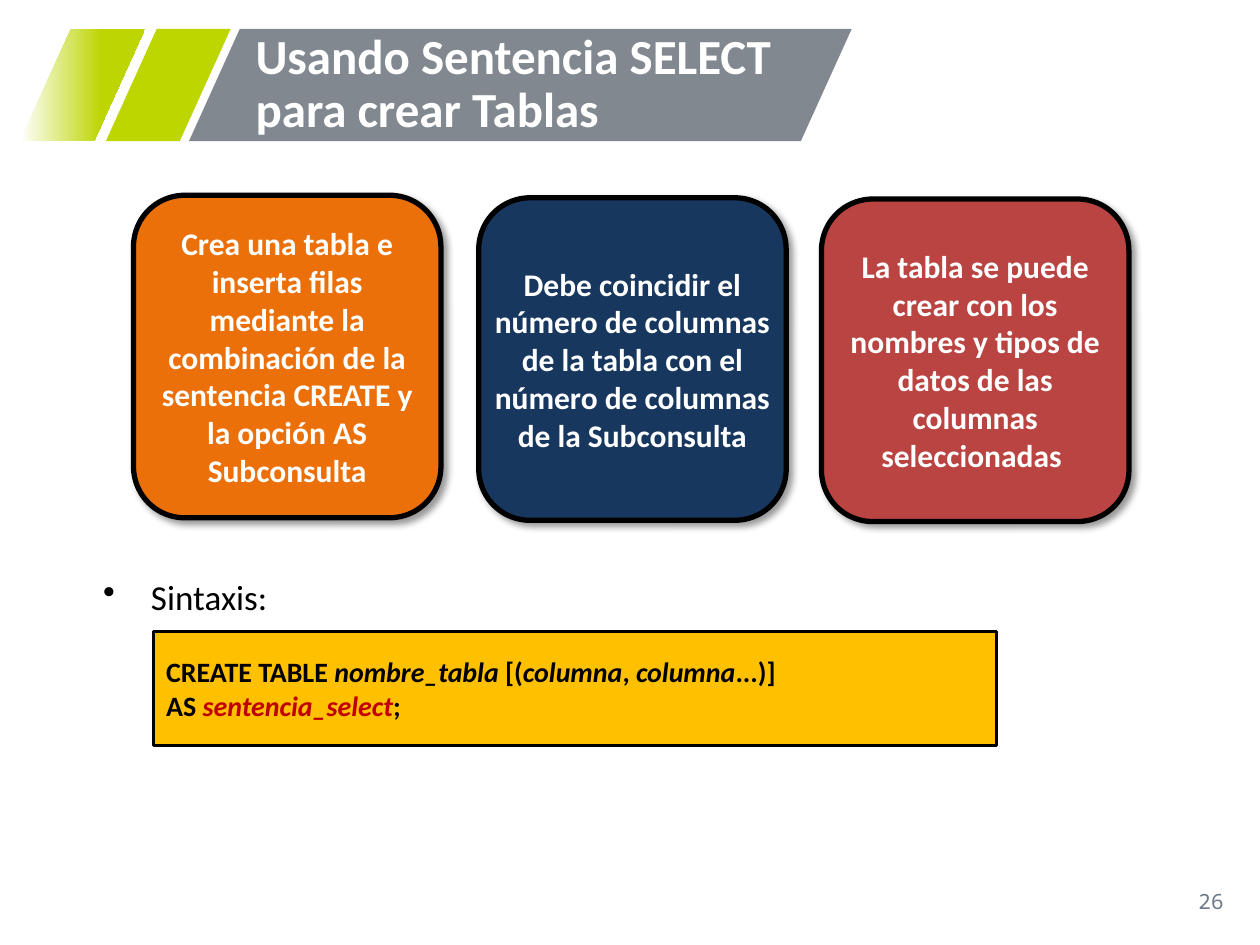
from lxml import etree
from pptx import Presentation
from pptx.dml.color import RGBColor
from pptx.enum.shapes import MSO_SHAPE
from pptx.enum.text import MSO_ANCHOR, PP_ALIGN
from pptx.oxml import parse_xml
from pptx.oxml.ns import nsdecls, qn
from pptx.util import Inches, Pt

PARALLELOGRAM = MSO_SHAPE.PARALLELOGRAM
ROUNDED = MSO_SHAPE.ROUNDED_RECTANGLE
RECTANGLE = MSO_SHAPE.RECTANGLE
MIDDLE = MSO_ANCHOR.MIDDLE
LEFT, CENTER, RIGHT = PP_ALIGN.LEFT, PP_ALIGN.CENTER, PP_ALIGN.RIGHT

BLACK, WHITE, RED = "000000", "FFFFFF", "C00000"
LIME, GRAY, AMBER = "BED600", "81888F", "FFC000"
BAND_TOP, BAND_HEIGHT = 0.23, 0.89
CARD_WIDTH, CARD_HEIGHT = 2.44, 2.56


def color(value):
    return RGBColor.from_string(value)


class SlideBuilder:
    def __init__(self, slide, font="Calibri"):
        self.slide = slide
        self.font = font

    def shape(self, kind, left, top, width, height, fill, line=None, line_width=1):
        shape = self.slide.shapes.add_shape(
            kind, Inches(left), Inches(top), Inches(width), Inches(height))
        shape.shadow.inherit = False
        shape.fill.solid()
        shape.fill.fore_color.rgb = color(fill)
        if line:
            shape.line.color.rgb = color(line)
            shape.line.width = Pt(line_width)
        else:
            shape.line.fill.background()
        return shape

    def band(self, left, width, fill):
        band = self.shape(PARALLELOGRAM, left, BAND_TOP, width, BAND_HEIGHT, fill)
        band.adjustments[0] = 0.453
        return band

    def fading_band(self, left, width, start, end):
        fill = self.band(left, width, end).fill
        fill.gradient()
        fill.gradient_angle = 0
        for stop, position, value in zip(fill.gradient_stops, (0, 0.65), (start, end)):
            stop.position = position
            stop.color.rgb = color(value)

    def style(self, paragraph, size, value, bold=False, align=LEFT, font=None):
        paragraph.alignment = align
        paragraph.font.name = font or self.font
        paragraph.font.size = Pt(size)
        paragraph.font.bold = bold
        paragraph.font.color.rgb = color(value)

    def text(self, left, top, width, height, words, size, value, **style):
        box = self.slide.shapes.add_textbox(
            Inches(left), Inches(top), Inches(width), Inches(height))
        frame = box.text_frame
        frame.word_wrap = True
        frame.vertical_anchor = MIDDLE
        paragraph = frame.paragraphs[0]
        paragraph.text = words
        self.style(paragraph, size, value, **style)
        return paragraph

    def bullet(self, left, top, width, height, words, size, value):
        paragraph = self.text(left, top, width, height, words, size, value)
        properties = paragraph._p.get_or_add_pPr()
        properties.set("marL", str(Inches(0.38)))
        properties.set("indent", str(-Inches(0.38)))
        mark = etree.Element(qn("a:buChar"), char="•")
        properties.insert(0, mark)

    def card(self, left, top, fill, words):
        card = self.shape(ROUNDED, left, top, CARD_WIDTH, CARD_HEIGHT, fill, BLACK, 3)
        self.drop_shadow(card)
        frame = card.text_frame
        frame.word_wrap = True
        frame.vertical_anchor = MIDDLE
        frame.margin_left = frame.margin_right = 0
        frame.margin_top = frame.margin_bottom = 0
        frame.text = words
        self.style(frame.paragraphs[0], 18, WHITE, bold=True, align=CENTER)

    def drop_shadow(self, shape):
        effects = shape._element.spPr.find(qn("a:effectLst"))
        effects.append(parse_xml(
            f'<a:outerShdw {nsdecls("a")} blurRad="{Pt(4)}" dist="{Pt(3)}" '
            f'dir="2700000" algn="tl" rotWithShape="0"><a:srgbClr val="{BLACK}">'
            '<a:alpha val="40000"/></a:srgbClr></a:outerShdw>'))

    def code(self, left, top, width, height, lines):
        """Draw a code box; each line is a list of (text, italic, colour or None)."""
        box = self.shape(RECTANGLE, left, top, width, height, AMBER, BLACK, 1.75)
        frame = box.text_frame
        frame.word_wrap = True
        frame.vertical_anchor = MIDDLE
        for index, pieces in enumerate(lines):
            paragraph = frame.add_paragraph() if index else frame.paragraphs[0]
            self.style(paragraph, 16, BLACK, bold=True)
            for words, italic, value in pieces:
                run = paragraph.add_run()
                run.text = words
                run.font.italic = italic
                if value:
                    run.font.color.rgb = color(value)


def main():
    deck = Presentation()
    deck.slide_width, deck.slide_height = Inches(10), Inches(7.5)
    page = SlideBuilder(deck.slides.add_slide(deck.slide_layouts[6]))

    page.band(0.84, 0.99, LIME)
    page.fading_band(0.16, 0.99, WHITE, "BDD503")
    page.band(1.5, 5.26, GRAY)
    title = page.text(1.93, BAND_TOP, 4.69, BAND_HEIGHT,
                      "Usando Sentencia SELECT para crear Tablas", 28, WHITE, bold=True)
    title.line_spacing = 0.9

    cards = [
        (1.06, 1.55, "EC700A", "Crea una tabla e inserta filas mediante la combinación "
                               "de la sentencia CREATE y la opción AS Subconsulta"),
        (3.8, 1.57, "17375E", "Debe coincidir el número de columnas de la tabla con el "
                              "número de columnas de la Subconsulta"),
        (6.52, 1.58, "B94441", "La tabla se puede crear con los nombres y tipos de datos "
                               "de las columnas seleccionadas "),
    ]
    for left, top, fill, words in cards:
        page.card(left, top, fill, words)

    page.bullet(0.72, 4.52, 9, 0.43, "Sintaxis:", 20, BLACK)
    page.code(1.22, 5.01, 6.69, 0.91, [
        [("CREATE TABLE ", False, None), ("nombre_tabla ", True, None),
         ("[(", False, None), ("columna", True, None), (", ", False, None),
         ("columna", True, None), ("...)]", False, None)],
        [("AS ", False, None), ("sentencia_select", True, RED), (";", False, None)],
    ])
    page.text(7.56, 6.95, 2.25, 0.4, "26", 12, "6C7A8A", align=RIGHT,
              font="Noto Sans Mono")
    deck.save("out.pptx")


if __name__ == "__main__":
    main()
